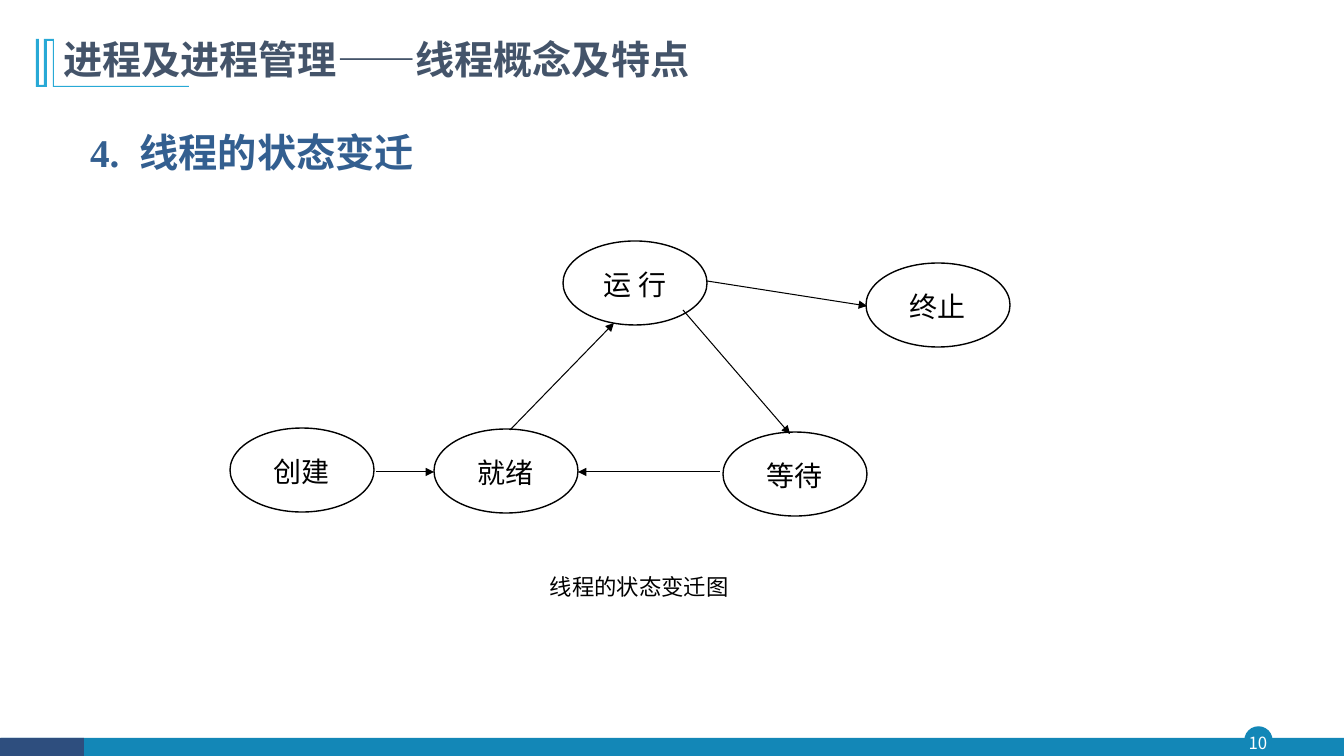
from lxml import etree
from pptx import Presentation
from pptx import util as u
from pptx.dml.color import RGBColor
from pptx.enum import shapes, text
from pptx.oxml.ns import qn

PX = 914400 / 100.8
CJK, SERIF = "Noto Sans CJK SC", "Times New Roman"
COLORS = {
    "teal": "1387B7", "navy": "2E4E7E", "sky": "28A9D6", "slate": "44546A",
    "blue": "335F90", "black": "000000", "white": "FFFFFF",
}

presentation = Presentation()
presentation.slide_width, presentation.slide_height = round(1344 * PX), round(756 * PX)
slide = presentation.slides.add_slide(presentation.slide_layouts[6])


def add_shape(kind, box, fill, line=None):
    """Add a flat shape; box is left, top, width, height in px."""
    shape = slide.shapes.add_shape(kind, *(round(n * PX) for n in box))
    shape.shadow.inherit = False
    shape.fill.solid()
    shape.fill.fore_color.rgb = RGBColor.from_string(COLORS[fill])
    if line:
        shape.line.color.rgb = RGBColor.from_string(COLORS[line])
        shape.line.width = u.Pt(1)
    else:
        shape.line.fill.background()
    return shape


def add_text(box, runs, size, color, font=SERIF, bold=False, margins=(10, 5),
             anchor="TOP", align="LEFT", spacing=1.0):
    """Add a one-paragraph text box and return its paragraph."""
    frame = slide.shapes.add_textbox(*(round(n * PX) for n in box)).text_frame
    frame.word_wrap = True
    frame.margin_left = frame.margin_right = round(margins[0] * PX)
    frame.margin_top = frame.margin_bottom = round(margins[1] * PX)
    frame.vertical_anchor = text.MSO_ANCHOR[anchor]
    paragraph = frame.paragraphs[0]
    paragraph.alignment = text.PP_ALIGN[align]
    paragraph.line_spacing = spacing
    paragraph.font.size, paragraph.font.bold = u.Pt(size), bold
    paragraph.font.name = font
    paragraph.font.color.rgb = RGBColor.from_string(COLORS[color])
    for words in runs:
        run = paragraph.add_run()
        run.text = words
        etree.SubElement(run._r.get_or_add_rPr(), qn("a:ea")).set("typeface", CJK)
    return paragraph


# Footer and page number
OVAL, RECT = shapes.MSO_SHAPE.OVAL, shapes.MSO_SHAPE.RECTANGLE
add_shape(OVAL, (1245, 727, 27, 27), "teal", "teal")
add_shape(RECT, (1, 738, 1343, 18), "teal")
add_shape(RECT, (0, 738, 84, 18), "navy")
add_text((1242, 727, 32, 31), ["10"], 12, "white", CJK, margins=(0, 0),
         anchor="MIDDLE", align="CENTER")

# Title with its bracket ornament
bracket = [(54, 39), (54, 86), (189, 86), (189, 87), (53, 87), (53, 41), (47, 41),
           (47, 87), (36, 87), (36, 39), (39, 39), (39, 85), (44, 85), (44, 39)]
builder = slide.shapes.build_freeform(*bracket[0], scale=PX)
builder.add_line_segments(bracket[1:], close=True)
ornament = builder.convert_to_shape()
ornament.shadow.inherit = False
ornament.fill.solid()
ornament.fill.fore_color.rgb = RGBColor.from_string(COLORS["sky"])
ornament.line.fill.background()
add_text((53, 34, 1057, 56), ["进程及进程管理——线程概念及特点"], 28, "slate", CJK,
         bold=True, anchor="MIDDLE", spacing=0.9)

# Thread states
states = {"运 行": (563, 241), "终止": (866, 263), "创建": (230, 428),
          "就绪": (434, 429), "等待": (723, 432)}
for state, (left, top) in states.items():
    add_shape(OVAL, (left, top, 144, 84), "white", "black")
    add_text((left + 23, top + 25, 98, 31), [state], 20, "black",
             margins=(1, 1), align="CENTER")

# Transitions: start x, start y, end x, end y
transitions = [(376, 472, 434, 472), (510, 430, 614, 323), (683, 310, 790, 434),
               (720, 472, 578, 472), (707, 281, 867, 306)]
for ends in transitions:
    arrow = slide.shapes.add_connector(shapes.MSO_CONNECTOR.STRAIGHT,
                                       *(round(n * PX) for n in ends))
    arrow.line.color.rgb = RGBColor.from_string(COLORS["black"])
    arrow.line.width = u.Pt(0.75)
    etree.SubElement(arrow.line._get_or_add_ln(), qn("a:tailEnd")).set("type", "triangle")
    etree.SubElement(arrow._element.spPr, qn("a:effectLst"))

# Heading and caption
heading = add_text((80, 114, 438, 68), ["4.", " ", "线程的状态变迁"], 28, "blue",
                   bold=True, spacing=1.2)
heading.runs[1].font._element.set("spc", "750")
add_text((540, 563, 209, 42), ["线程的状态变迁图"], 16, "black",
         align="JUSTIFY", spacing=1.2)

presentation.save("out.pptx")
